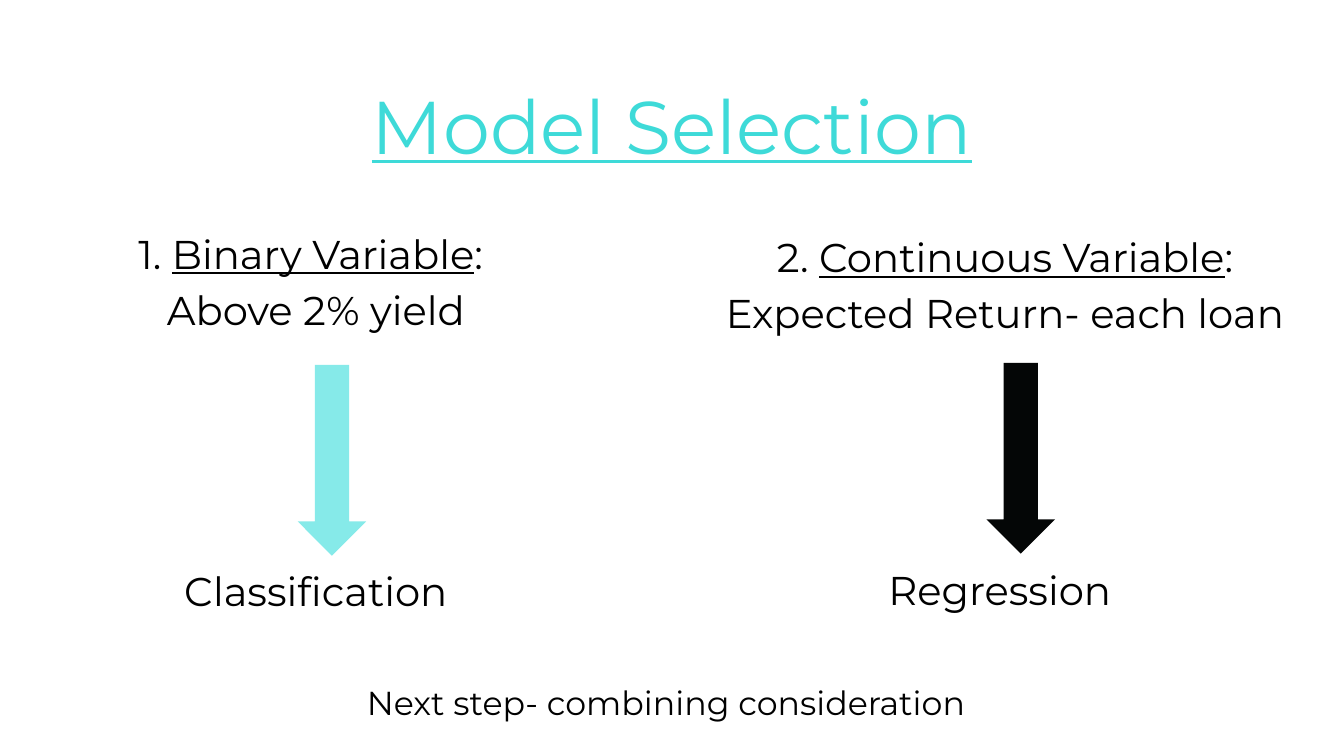
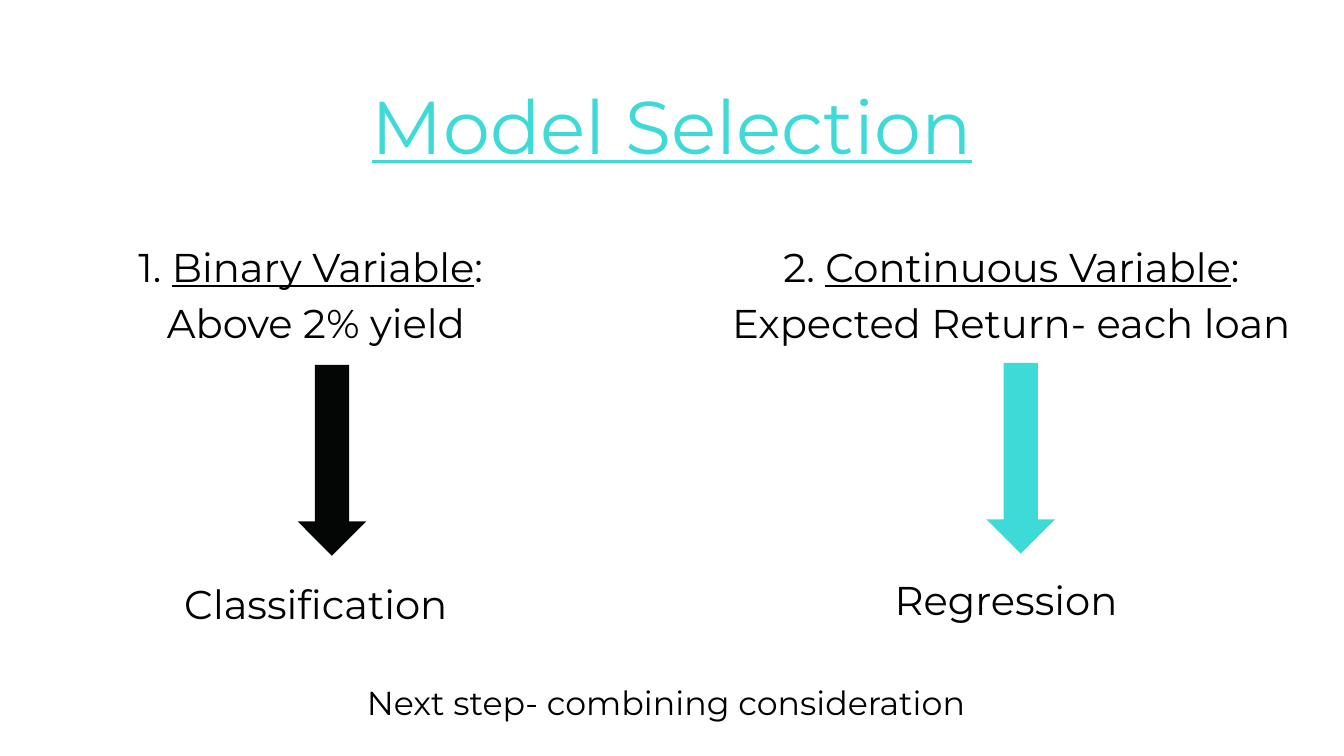
import dataclasses
import typing

import pptx
import pptx.dml.color
import pptx.enum.shapes
import pptx.enum.text
import pptx.shapes.autoshape
import pptx.slide
import pptx.util

PX = 9144
FONT = "Montserrat"
COLORS = {
    "turquoise": "3EDAD8",
    "pale": "86EAE9",
    "black": "000000",
    "ink": "040606",
}
LEFT = pptx.enum.text.PP_ALIGN.LEFT
CENTER = pptx.enum.text.PP_ALIGN.CENTER


class Box(typing.NamedTuple):
    left: int
    top: int
    width: int
    height: int

    def emu(self) -> list[int]:
        return [length * PX for length in self]


class Run(typing.NamedTuple):
    text: str
    underline: bool = False


@dataclasses.dataclass(frozen=True)
class Style:
    size: float
    spacing: float
    color: str = "black"
    align: pptx.enum.text.PP_ALIGN = CENTER


@dataclasses.dataclass(frozen=True)
class Paragraph:
    runs: tuple[Run, ...]
    space_before: float = 0


@dataclasses.dataclass(frozen=True)
class Approach:
    paragraphs: tuple[Paragraph, ...]
    arrow: Box


@dataclasses.dataclass(frozen=True)
class Version:
    text_boxes: tuple[Box, Box]
    arrow_colors: tuple[str, str]


TITLE = Style(80, 112, "turquoise")
BODY = Style(43, 60.2)
NEXT_STEP = Style(35.6, 49.9, align=LEFT)

APPROACHES = (
    Approach(
        (
            Paragraph((Run("1. "), Run("Binary Variable", True), Run(": "))),
            Paragraph((Run("Above 2% yield"),)),
            Paragraph((Run("Classification"),), 240.8),
        ),
        Box(443, 543, 102, 284),
    ),
    Approach(
        (
            Paragraph((
                Run("2. "),
                Run("Continuous Variable", True),
                Run(": Expected Return- each loan"),
            )),
            Paragraph((Run("Regression "),), 236.6),
        ),
        Box(1468, 540, 102, 284),
    ),
)

VERSIONS = (
    Version((Box(55, 329, 830, 664), Box(1044, 334, 903, 658)), ("pale", "ink")),
    Version((Box(55, 348, 830, 664), Box(1061, 348, 888, 658)), ("ink", "turquoise")),
)


def rgb(name: str) -> pptx.dml.color.RGBColor:
    return pptx.dml.color.RGBColor.from_string(COLORS[name])


def add_text(
    slide: pptx.slide.Slide,
    box: Box,
    paragraphs: typing.Sequence[Paragraph],
    style: Style,
) -> None:
    frame = slide.shapes.add_textbox(*box.emu()).text_frame
    frame.word_wrap = True
    frame.auto_size = pptx.enum.text.MSO_AUTO_SIZE.SHAPE_TO_FIT_TEXT
    frame.margin_left = frame.margin_right = 0
    frame.margin_top = frame.margin_bottom = 0
    for index, content in enumerate(paragraphs):
        paragraph = frame.add_paragraph() if index else frame.paragraphs[0]
        paragraph.alignment = style.align
        paragraph.line_spacing = pptx.util.Pt(style.spacing)
        paragraph.space_before = pptx.util.Pt(content.space_before)
        for part in content.runs:
            run = paragraph.add_run()
            run.text = part.text
            run.font.name = FONT
            run.font.size = pptx.util.Pt(style.size)
            run.font.color.rgb = rgb(style.color)
            run.font.underline = part.underline


def add_arrow(slide: pptx.slide.Slide, box: Box, color: str) -> None:
    arrow = slide.shapes.add_shape(
        pptx.enum.shapes.MSO_SHAPE.DOWN_ARROW, *box.emu()
    )
    arrow.shadow.inherit = False
    arrow.fill.solid()
    arrow.fill.fore_color.rgb = rgb(color)
    arrow.line.fill.background()


def add_version(presentation: typing.Any, version: Version) -> None:
    slide = presentation.slides.add_slide(presentation.slide_layouts[6])
    title = Paragraph((Run("Model Selection", True),))
    add_text(slide, Box(534, 96, 932, 150), [title], TITLE)
    for approach, box in zip(APPROACHES, version.text_boxes):
        add_text(slide, box, approach.paragraphs, BODY)
    for approach, color in zip(APPROACHES, version.arrow_colors):
        add_arrow(slide, approach.arrow, color)
    next_step = Paragraph((Run("Next step- combining consideration"),))
    add_text(slide, Box(546, 1005, 1564, 66), [next_step], NEXT_STEP)


def main() -> None:
    presentation = pptx.Presentation()
    presentation.slide_width = 2000 * PX
    presentation.slide_height = 1125 * PX
    for version in VERSIONS:
        add_version(presentation, version)
    presentation.save("out.pptx")


if __name__ == "__main__":
    main()
